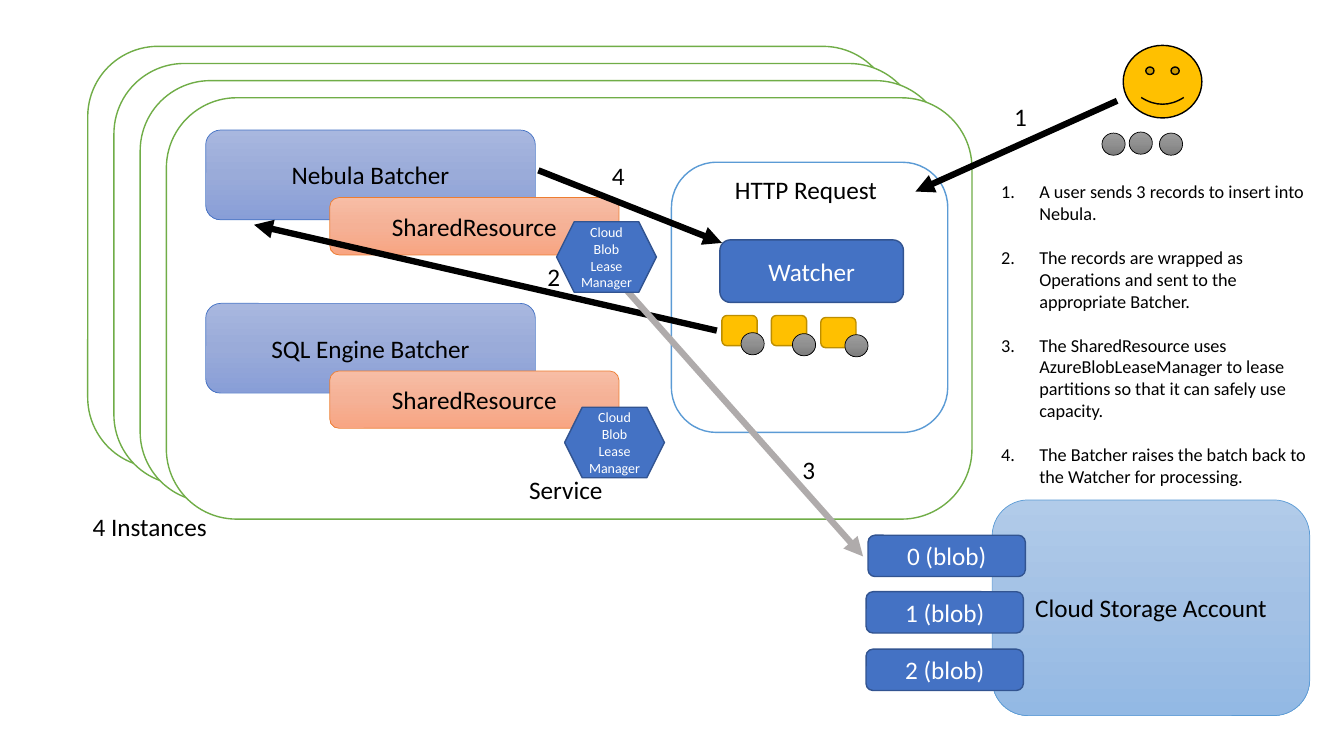
from copy import deepcopy

from lxml.etree import SubElement
from pptx import Presentation
from pptx.dml.color import RGBColor
from pptx.enum.shapes import MSO_CONNECTOR as Connector, MSO_SHAPE as Shape
from pptx.enum.text import MSO_ANCHOR as Anchor, PP_ALIGN as Align
from pptx.oxml.ns import qn
from pptx.util import Inches, Pt

BLACK = RGBColor(0x00, 0x00, 0x00)
WHITE = RGBColor(0xFF, 0xFF, 0xFF)
GREEN = RGBColor(0x70, 0xAD, 0x47)
BLUE = RGBColor(0x44, 0x72, 0xC4)
NAVY = RGBColor(0x32, 0x54, 0x91)
SKY = RGBColor(0x5B, 0x9B, 0xD5)
ORANGE = RGBColor(0xED, 0x7D, 0x31)
GOLD = RGBColor(0xFF, 0xC0, 0x00)
DARK_GOLD = RGBColor(0xBD, 0x8E, 0x00)
SILVER = RGBColor(0xAF, 0xAB, 0xAB)
BATCHER_FILL = (RGBColor(0xA8, 0xB7, 0xDF), RGBColor(0x9A, 0xAB, 0xD9), RGBColor(0x88, 0x9E, 0xD7))
RESOURCE_FILL = (RGBColor(0xF7, 0xBD, 0xA5), RGBColor(0xF5, 0xB1, 0x96), RGBColor(0xF8, 0xA5, 0x82))
RECORD_FILL = (RGBColor(0x9D, 0x9D, 0x9D), RGBColor(0x90, 0x90, 0x90), RGBColor(0x7C, 0x7C, 0x7C))
STORAGE_FILL = (RGBColor(0xB1, 0xCB, 0xE9), RGBColor(0xA3, 0xC1, 0xE5), RGBColor(0x93, 0xB9, 0xE4))

STEPS = [
    "A user sends 3 records to insert into Nebula.",
    "The records are wrapped as Operations and sent to the appropriate Batcher.",
    "The SharedResource uses AzureBlobLeaseManager to lease partitions so that it can safely use capacity.",
    "The Batcher raises the batch back to the Watcher for processing.",
]


class Diagram:
    font = "Calibri"
    size = 18

    def __init__(self, page):
        self.page = page

    def add_lines(self, frame, lines, color=BLACK, size=None, **formats):
        for index, line in enumerate(lines):
            para = frame.paragraphs[0] if index == 0 else frame.add_paragraph()
            for name, value in formats.items():
                setattr(para, name, value)
            span = para.add_run()
            span.text = line
            for name, value in {"name": self.font, "size": Pt(size or self.size)}.items():
                setattr(span.font, name, value)
            span.font.color.rgb = color

    def blend(self, box, colors):
        box.fill.gradient()
        box.fill.gradient_angle = 270
        stop_list = box._element.spPr.find(".//" + qn("a:gsLst"))
        stop_list.insert(1, deepcopy(stop_list[0]))
        for stop, color, position in zip(box.fill.gradient_stops, colors, (0, 0.5, 1)):
            stop.color.rgb = color
            stop.position = position

    def shape(self, area, fill, line, lines=(), color=BLACK, size=None, kind=Shape.ROUNDED_RECTANGLE):
        box = self.page.shapes.add_shape(kind, *map(Inches, area))
        box.shadow.inherit = False
        if isinstance(fill, RGBColor):
            box.fill.solid()
            box.fill.fore_color.rgb = fill
            box.line.width = Pt(1)
        else:
            self.blend(box, fill)
            box.line.width = Pt(0.5)
        box.line.color.rgb = line
        box.text_frame.vertical_anchor = Anchor.MIDDLE
        box.text_frame.word_wrap = False
        self.add_lines(box.text_frame, lines, color, size, alignment=Align.CENTER)

    def label(self, area, text):
        box = self.page.shapes.add_textbox(*map(Inches, area))
        box.text_frame.word_wrap = False
        self.add_lines(box.text_frame, [text])

    def steps(self, area, lines):
        box = self.page.shapes.add_textbox(*map(Inches, area))
        box.text_frame.word_wrap = True
        self.add_lines(box.text_frame, lines, size=13, space_after=Pt(15.8))
        for para in box.text_frame.paragraphs:
            properties = para._p.get_or_add_pPr()
            properties.set("marL", str(Inches(0.38)))
            properties.set("indent", str(Inches(-0.38)))
            SubElement(properties, qn("a:buFont"), typeface="+mj-lt")
            SubElement(properties, qn("a:buAutoNum"), type="arabicPeriod")

    def arrow(self, start, end, color=BLACK):
        link = self.page.shapes.add_connector(Connector.STRAIGHT, *map(Inches, start + end))
        link.line.color.rgb = color
        link.line.width = Pt(4.5)
        properties = link._element.spPr
        SubElement(properties.find(qn("a:ln")), qn("a:tailEnd"), type="triangle")
        SubElement(properties, qn("a:effectLst"))


def draw(diagram):
    for index in range(4):
        diagram.shape((0.87 + 0.26 * index, 0.46 + 0.17 * index, 7.99, 4.18), WHITE, GREEN)

    for top, name in ((1.29, "Nebula Batcher"), (3.01, "SQL Engine Batcher")):
        diagram.shape((2.04, top, 3.27, 0.89), BATCHER_FILL, BLUE, [name])
        diagram.shape((3.27, top + 0.67, 2.87, 0.57), RESOURCE_FILL, ORANGE, ["SharedResource"])

    diagram.shape((6.66, 1.61, 2.74, 2.68), WHITE, SKY)
    diagram.shape((7.14, 2.38, 1.82, 0.62), BLUE, NAVY, ["Watcher"], WHITE)
    for left, top in ((7.16, 3.13), (7.65, 3.13), (8.14, 3.15)):
        diagram.shape((left, top, 0.35, 0.3), GOLD, DARK_GOLD)
    diagram.shape((11.14, 0.45, 0.78, 0.72), GOLD, BLACK, kind=Shape.SMILEY_FACE)
    diagram.arrow((11.08, 1), (9.08, 1.9))
    diagram.label((7.19, 1.68, 1.63, 0.4), "HTTP Request")

    records = ((7.35, 3.3), (7.86, 3.31), (8.38, 3.32), (10.93, 1.32), (11.2, 1.31), (11.5, 1.32))
    for left, top in records:
        diagram.shape((left, top, 0.23, 0.22), RECORD_FILL, BLACK, kind=Shape.OVAL)
    diagram.arrow((7.11, 3.28), (2.52, 2.23))
    diagram.arrow((5.34, 1.69), (7.16, 2.41))
    diagram.label((5.15, 4.66, 0.94, 0.4), "Service")
    diagram.label((0.82, 5.02, 1.35, 0.4), "4 Instances")

    diagram.shape((9.84, 4.96, 3.15, 2.14), STORAGE_FILL, SKY, ["Cloud Storage Account"])
    for index, (left, top) in enumerate(((8.61, 5.31), (8.59, 5.87), (8.59, 6.44))):
        diagram.shape((left, top, 1.56, 0.41), BLUE, NAVY, [f"{index} (blob)"], WHITE)
    diagram.arrow((5.94, 2.57), (8.56, 5.52), SILVER)

    for number, (left, top) in enumerate(((9.96, 0.96), (5.33, 2.54), (7.86, 4.46), (5.97, 1.54)), 1):
        diagram.label((left, top, 0.33, 0.4), str(number))
    diagram.steps((9.83, 1.74, 3.32, 3.16), STEPS)

    manager = ["Cloud", "Blob", "Lease", "Manager"]
    for left, top in ((5.52, 2.2), (5.6, 4.04)):
        diagram.shape((left, top, 0.99, 0.7), BLUE, NAVY, manager, WHITE, 10, Shape.HEXAGON)


def main():
    deck = Presentation()
    deck.slide_width = Inches(13.33)
    deck.slide_height = Inches(7.5)
    page = deck.slides.add_slide(deck.slide_layouts[6])
    draw(Diagram(page))
    deck.save("out.pptx")


if __name__ == "__main__":
    main()
